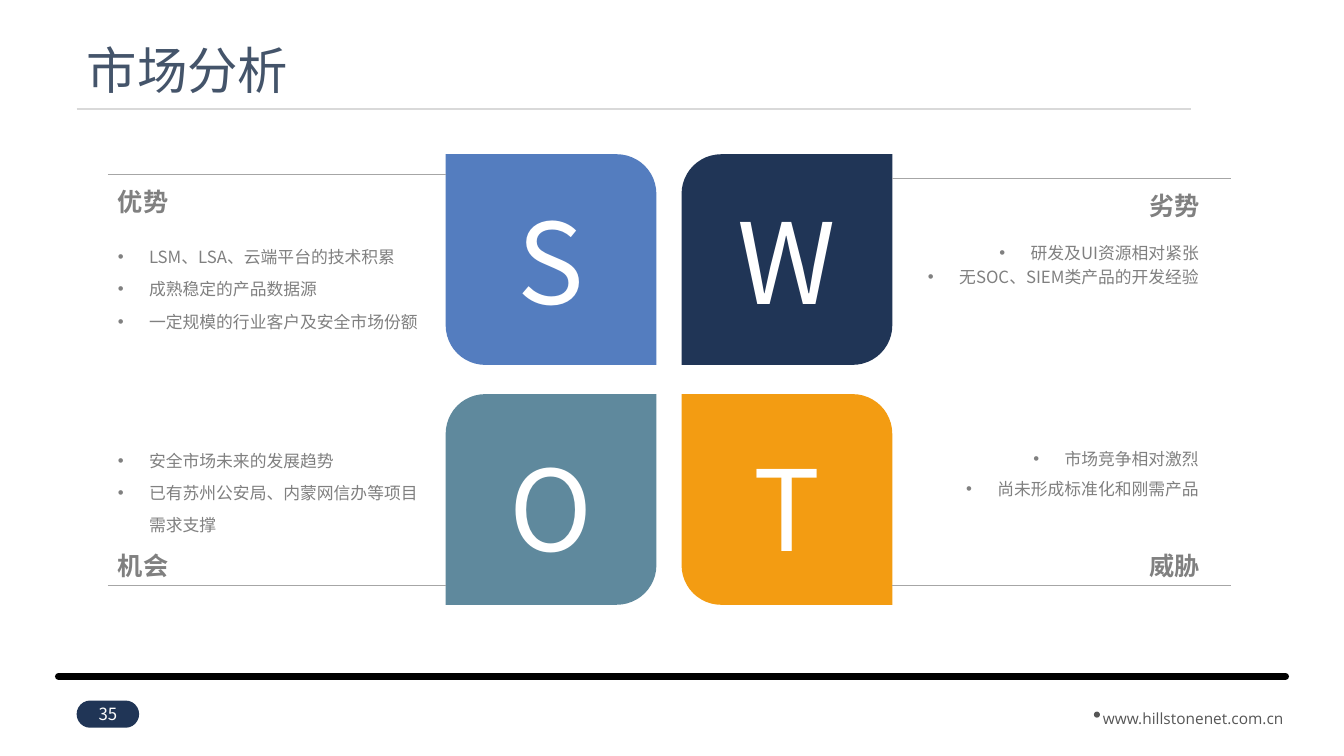
from dataclasses import dataclass

import pptx
import pptx.dml.color
import pptx.enum.shapes
import pptx.enum.text
import pptx.oxml
import pptx.oxml.ns
import pptx.util
from pptx.util import Inches

SHAPE = pptx.enum.shapes.MSO_SHAPE
ALIGN = pptx.enum.text.PP_ALIGN
ANCHOR = pptx.enum.text.MSO_ANCHOR
AUTO_SIZE = pptx.enum.text.MSO_AUTO_SIZE


@dataclass(frozen=True)
class Theme:
    cjk: str = "Noto Sans CJK SC"
    latin: str = "Open Sans"
    title: str = "44546A"
    body: str = "808080"
    footer: str = "565656"
    navy: str = "203556"
    blue: str = "547DBF"
    teal: str = "5F899D"
    orange: str = "F39C12"
    white: str = "FFFFFF"
    black: str = "000000"
    title_rule: str = "D9D9D9"
    thin_rule: str = "A6A6A6"
    title_size: float = 36
    letter_size: float = 80
    heading_size: float = 18
    body_size: float = 12
    footer_size: float = 11


def rgb(value):
    return pptx.dml.color.RGBColor.from_string(value)


def add_xml(parent, tag, **attributes):
    child = pptx.oxml.parse_xml(f"<{tag} {pptx.oxml.ns.nsdecls('a')}/>")
    for name, value in attributes.items():
        child.set(name, str(value))
    parent.append(child)


class SlideBuilder:
    def __init__(self, page, theme):
        self.page = page
        self.theme = theme

    def fill_text(self, box, lines, size, color, align=ALIGN.LEFT, anchor=ANCHOR.TOP,
                  font=None, bold=False, spacing=1.0, bullets=False):
        frame = box.text_frame
        frame.word_wrap = True
        frame.vertical_anchor = anchor
        frame.text = "\n".join(lines)
        for para in frame.paragraphs:
            para.alignment = align
            para.line_spacing = spacing
            para.space_before = pptx.util.Pt(0)
            if bullets:
                properties = para._p.get_or_add_pPr()
                properties.set("marL", str(Inches(0.31)))
                properties.set("indent", str(Inches(-0.31)))
                add_xml(properties, "a:buFont", typeface="Arial")
                add_xml(properties, "a:buChar", char="•")
            for span in para.runs:
                span.font.name = font or self.theme.cjk
                span.font.size = pptx.util.Pt(size)
                span.font.bold = bold
                span.font.color.rgb = rgb(color)
                add_xml(span._r.get_or_add_rPr(), "a:ea", typeface=font or self.theme.cjk)

    def title(self, text, left, top, width, height):
        box = self.page.shapes.title
        box.left, box.top, box.width, box.height = map(Inches, (left, top, width, height))
        self.fill_text(box, [text], self.theme.title_size, self.theme.title,
                       anchor=ANCHOR.MIDDLE, spacing=0.9)

    def text(self, lines, left, top, width, height, size, color, grow=False, **style):
        box = self.page.shapes.add_textbox(*map(Inches, (left, top, width, height)))
        self.fill_text(box, lines, size, color, **style)
        box.text_frame.auto_size = AUTO_SIZE.SHAPE_TO_FIT_TEXT if grow else AUTO_SIZE.NONE

    def shape(self, kind, left, top, width, height, fill, adjustments=()):
        box = self.page.shapes.add_shape(kind, *map(Inches, (left, top, width, height)))
        box.shadow.inherit = False
        box.fill.solid()
        box.fill.fore_color.rgb = rgb(fill)
        box.line.fill.background()
        for index, value in enumerate(adjustments):
            box.adjustments[index] = value
        return box

    def rule(self, left, right, y, color, width, round_cap=False):
        line = self.page.shapes.add_connector(
            pptx.enum.shapes.MSO_CONNECTOR.STRAIGHT,
            *map(Inches, (left, y, right, y)))
        line.line.color.rgb = rgb(color)
        line.line.width = pptx.util.Pt(width)
        if round_cap:
            line.get_or_add_ln().set("cap", "rnd")
        add_xml(line._element.spPr, "a:effectLst")


def main():
    theme = Theme()
    deck = pptx.Presentation()
    deck.slide_width, deck.slide_height = Inches(13.33), Inches(7.5)
    page = deck.slides.add_slide(deck.slide_layouts[5])
    slide = SlideBuilder(page, theme)

    # Title and footer
    slide.title("市场分析", 0.76, 0.4, 10.73, 0.66)
    slide.rule(0.76, 11.81, 1.08, theme.title_rule, 1.5)
    slide.rule(0.58, 12.75, 6.71, theme.black, 5, round_cap=True)
    slide.text(["www.hillstonenet.com.cn"], 10.67, 6.89, 2.33, 0.38, theme.footer_size,
               theme.footer, grow=True, align=ALIGN.CENTER, font=theme.latin, spacing=1.5)
    slide.shape(SHAPE.OVAL, 10.85, 7.06, 0.06, 0.06, theme.footer)
    badge = slide.shape(SHAPE.ROUNDED_RECTANGLE, 0.76, 6.95, 0.62, 0.27, theme.navy, [0.5])
    slide.fill_text(badge, ["35"], theme.body_size, theme.white,
                    align=ALIGN.CENTER, anchor=ANCHOR.MIDDLE)

    # SWOT quadrants: letter, fill, heading, rule y, heading y, bullets y, spacing, bullets
    quadrants = [
        ("S", theme.blue, "优势", 1.73, 1.8, 2.28, 1.6,
         ["LSM、LSA、云端平台的技术积累", "成熟稳定的产品数据源",
          "一定规模的行业客户及安全市场份额"]),
        ("W", theme.navy, "劣势", 1.77, 1.84, 2.32, 1.2,
         ["研发及UI资源相对紧张", "无SOC、SIEM类产品的开发经验"]),
        ("O", theme.teal, "机会", 5.81, 5.41, 4.3, 1.6,
         ["安全市场未来的发展趋势", "已有苏州公安局、内蒙网信办等项目需求支撑"]),
        ("T", theme.orange, "威胁", 5.81, 5.41, 4.3, 1.5,
         ["市场竞争相对激烈", "尚未形成标准化和刚需产品"]),
    ]
    tile = 2.09
    letter_width = 1.54
    # Per column: tile left, rule ends, heading left, bullets left and width, alignment
    columns = [
        (4.42, 1.07, 4.42, 1.07, 1.07, 3.22, ALIGN.LEFT),
        (6.76, 8.85, 12.21, 10.11, 8.85, 3.14, ALIGN.RIGHT),
    ]
    rows = [(1.53, 1.85), (3.91, 4.3)]  # tile top, letter top

    for index, quadrant in enumerate(quadrants):
        letter, fill, heading, rule_y, heading_y, bullets_y, spacing, bullets = quadrant
        row, column = divmod(index, 2)
        tile_top, letter_top = rows[row]
        tile_left, start, end, heading_left, bullets_left, bullets_width, align = columns[column]
        corners = [0, 0.188] if row == column else [0.188, 0]
        slide.shape(SHAPE.ROUND_2_DIAG_RECTANGLE, tile_left, tile_top, tile, tile, fill, corners)
        slide.text([letter], tile_left + (tile - letter_width) / 2, letter_top,
                   letter_width, 1.45, theme.letter_size, theme.white, grow=True,
                   align=ALIGN.CENTER, anchor=ANCHOR.MIDDLE)
        slide.rule(start, end, rule_y, theme.thin_rule, 0.5)
        slide.text([heading], heading_left, heading_y, 1.89, 0.4, theme.heading_size,
                   theme.body, grow=True, align=align, bold=True)
        slide.text(bullets, bullets_left, bullets_y, bullets_width, 0.94, theme.body_size,
                   theme.body, align=align, spacing=spacing, bullets=True)

    deck.save("out.pptx")


if __name__ == "__main__":
    main()
